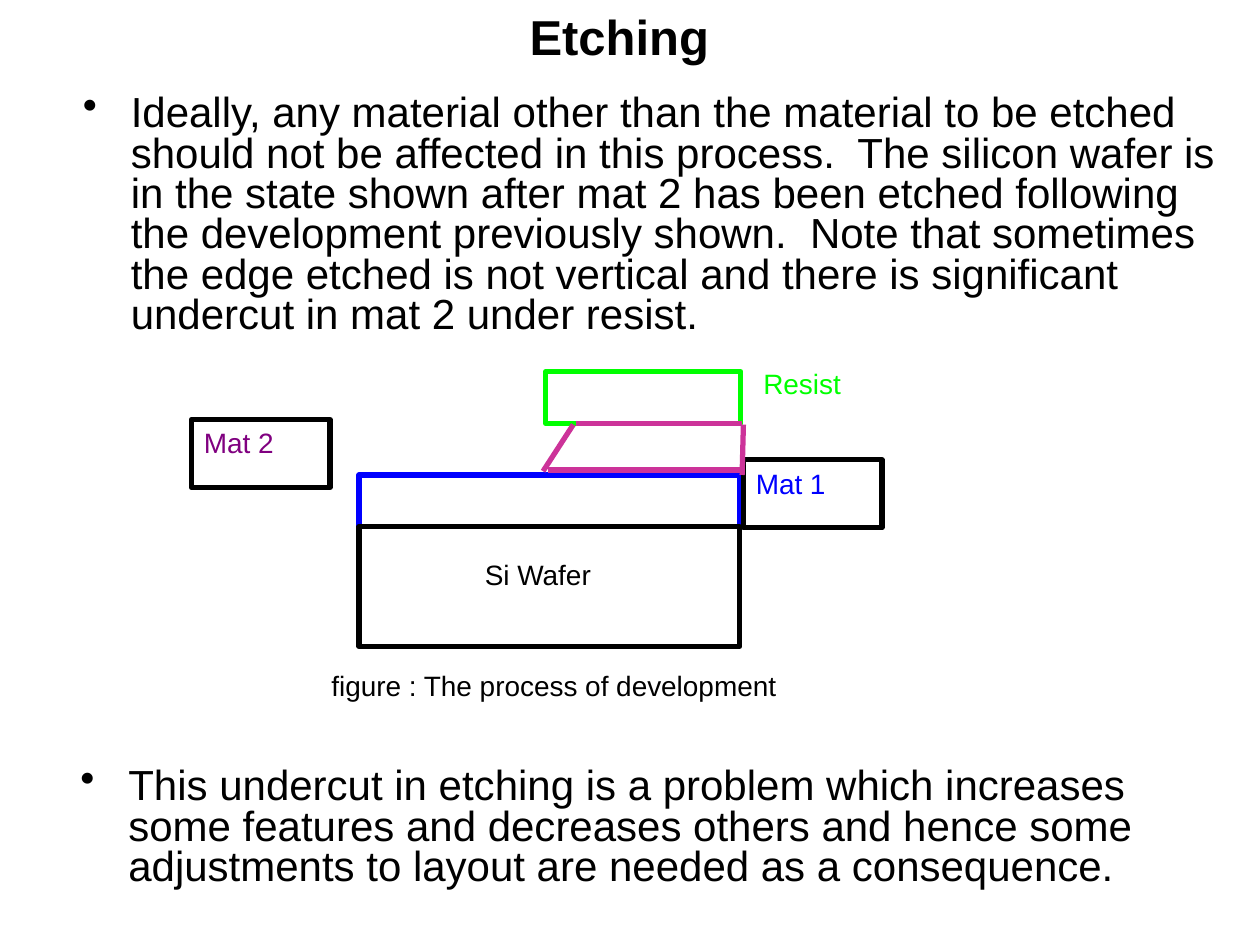
from dataclasses import dataclass
from typing import Optional

import pptx
import pptx.dml.color
import pptx.enum.shapes
import pptx.enum.text
import pptx.util
from lxml import etree
from pptx.oxml.ns import qn
from pptx.util import Inches


@dataclass(frozen=True)
class Theme:
    """Colours, font and type sizes of the slide."""
    font: str = "Arial"
    black: str = "000000"
    white: str = "FFFFFF"
    resist: str = "00FF00"
    mat1: str = "0000FF"
    mat2: str = "800080"
    undercut: str = "CC3399"
    title: int = 28
    body: int = 24
    label: int = 16
    line: int = 3


T = Theme()


@dataclass(frozen=True)
class Box:
    """An outlined rectangle, optionally filled or labelled."""
    at: tuple[float, float, float, float]
    line: str
    fill: Optional[str] = None
    text: str = ""
    color: str = T.black


@dataclass(frozen=True)
class Text:
    """A plain text box."""
    at: tuple[float, float, float, float]
    text: str
    size: int = T.label
    color: str = T.black
    bold: bool = False
    inset: tuple[float, float] = (0.1, 0.05)
    bullet: bool = False


def rgb(color: str) -> pptx.dml.color.RGBColor:
    """Turn a hex string into a colour."""
    return pptx.dml.color.RGBColor.from_string(color)


def write(sp, text: str, size: int, color: str, bold: bool = False,
          inset: tuple[float, float] = (0.1, 0.05)):
    """Write one left-aligned paragraph and return it."""
    tf = sp.text_frame
    tf.word_wrap = True
    tf.vertical_anchor = pptx.enum.text.MSO_ANCHOR.TOP
    tf.margin_left = tf.margin_right = Inches(inset[0])
    tf.margin_top = tf.margin_bottom = Inches(inset[1])
    p = tf.paragraphs[0]
    p.text = text
    p.alignment = pptx.enum.text.PP_ALIGN.LEFT
    p.font.name, p.font.size, p.font.bold = T.font, pptx.util.Pt(size), bold
    p.font.color.rgb = rgb(color)
    return p


def add_bullet(p) -> None:
    """Give a paragraph a hanging bullet and tight lines."""
    p.line_spacing = 0.8
    pPr = p._p.get_or_add_pPr()
    pPr.set("marL", str(Inches(0.38)))
    pPr.set("indent", str(-Inches(0.38)))
    bu = etree.Element(qn("a:buChar"), char="•")
    pPr.insert_element_before(bu, "a:tabLst", "a:defRPr", "a:extLst")


def add_text(s, t: Text):
    """Add a text box and return its paragraph."""
    sp = s.shapes.add_textbox(*map(Inches, t.at))
    p = write(sp, t.text, t.size, t.color, t.bold, t.inset)
    if t.bullet:
        add_bullet(p)
    return p


def add_box(s, b: Box) -> None:
    """Add a rectangle."""
    sp = s.shapes.add_shape(pptx.enum.shapes.MSO_SHAPE.RECTANGLE, *map(Inches, b.at))
    sp.shadow.inherit = False
    if b.fill:
        sp.fill.solid()
        sp.fill.fore_color.rgb = rgb(b.fill)
    else:
        sp.fill.background()
    sp.line.color.rgb = rgb(b.line)
    sp.line.width = pptx.util.Pt(T.line)
    if b.text:
        write(sp, b.text, T.label, b.color)


def add_edge(s, edge: tuple[float, float, float, float]) -> None:
    """Add one straight edge of the undercut layer."""
    sp = s.shapes.add_connector(pptx.enum.shapes.MSO_CONNECTOR.STRAIGHT, *map(Inches, edge))
    sp.line.color.rgb = rgb(T.undercut)
    sp.line.width = pptx.util.Pt(T.line)
    etree.SubElement(sp._element.spPr, qn("a:effectLst"))


BULLETS = [
    Text((0.56, 0.65, 9.19, 2.13),
         "Ideally, any material other than the material to be etched should not be "
         "affected in this process.  The silicon wafer is in the state shown after mat 2 "
         "has been etched following the development previously shown.  Note that "
         "sometimes the edge etched is not vertical and there is significant undercut "
         "in mat 2 under resist.", T.body, inset=(0.1, 0.11), bullet=True),
    Text((0.54, 5.99, 9.19, 1.26),
         "This undercut in etching is a problem which increases some features and "
         "decreases others and hence some adjustments to layout are needed as a "
         "consequence.", T.body, inset=(0.1, 0.11), bullet=True),
]
BOXES = [
    Box((2.85, 3.77, 3.02, 0.41), T.mat1, T.white),
    Box((2.85, 4.18, 3.02, 0.95), T.black, T.white),
    Box((1.52, 3.33, 1.1, 0.54), T.black, text="Mat 2", color=T.mat2),
    Box((5.9, 3.65, 1.1, 0.54), T.black, text="Mat 1", color=T.mat1),
    Box((4.33, 2.95, 1.55, 0.41), T.resist, T.white),
]
LABELS = [
    Text((5.96, 2.86, 1, 0.5), "Resist", color=T.resist),
    Text((3.75, 4.38, 1.32, 0.77), "Si Wafer"),
    Text((2.63, 5.31, 4.08, 0.54), "figure : The process of development", inset=(0, 0)),
]
EDGES = [
    (4.57, 3.36, 5.89, 3.36),
    (5.9, 3.37, 5.89, 3.77),
    (4.35, 3.73, 5.89, 3.73),
    (4.31, 3.74, 4.55, 3.37),
]


def main() -> None:
    """Build and save the slide."""
    prs = pptx.Presentation()
    prs.slide_width, prs.slide_height = Inches(10), Inches(7.5)
    s = prs.slides.add_slide(prs.slide_layouts[6])
    p = add_text(s, Text((0.51, 0, 8.81, 0.58), "Etching", T.title, bold=True))
    p.alignment = pptx.enum.text.PP_ALIGN.CENTER
    for b in BOXES:
        add_box(s, b)
    for edge in EDGES:
        add_edge(s, edge)
    for t in BULLETS + LABELS:
        add_text(s, t)
    prs.save("out.pptx")


main()
